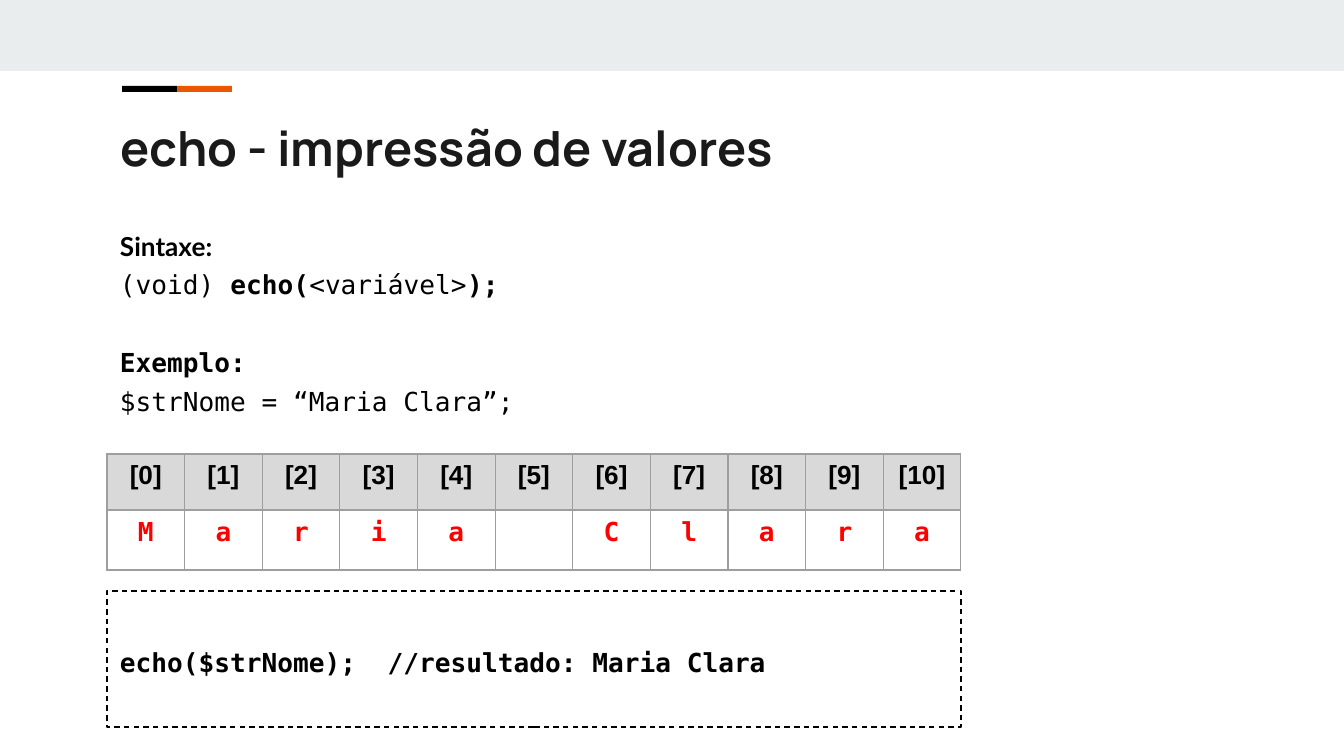
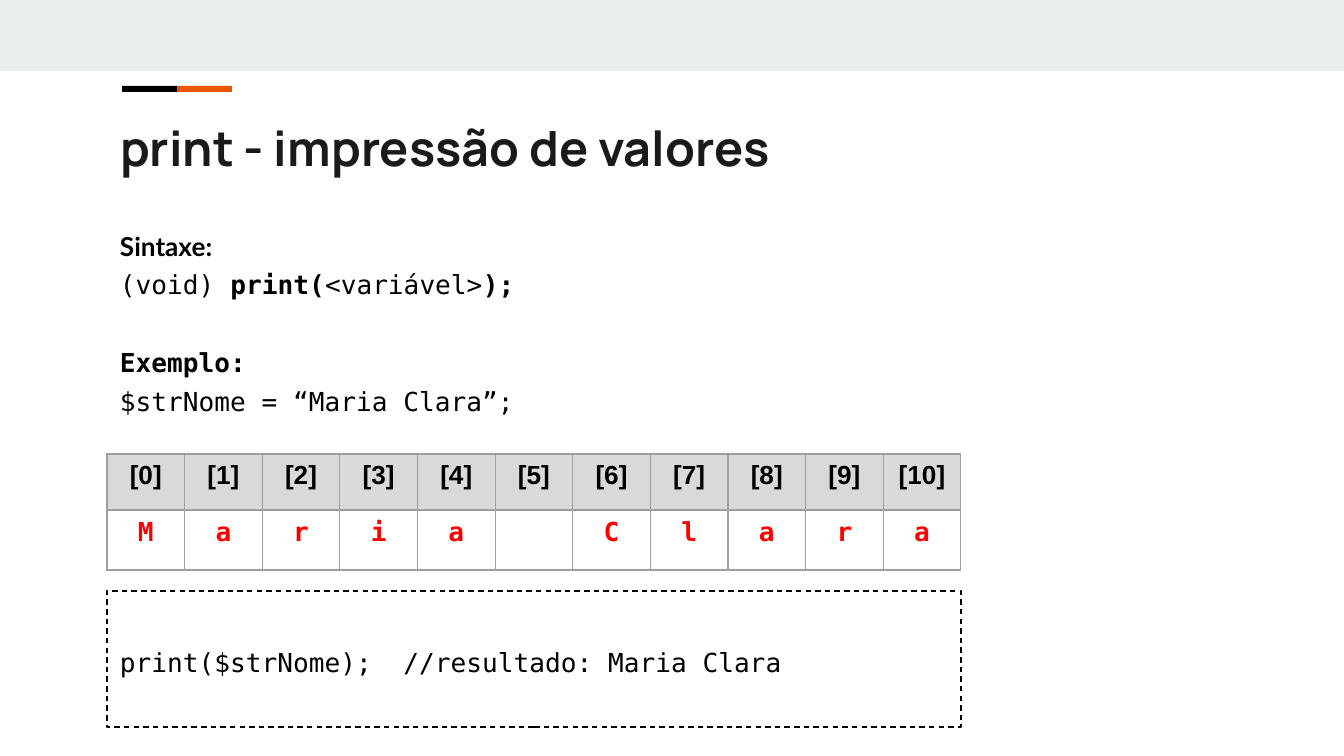
"""Build two slides on printing values with echo and print."""
from dataclasses import dataclass
from typing import Any

from lxml import etree
from pptx import Presentation
from pptx.dml.color import RGBColor
from pptx.enum.dml import MSO_LINE
from pptx.enum.shapes import MSO_SHAPE
from pptx.enum.text import MSO_ANCHOR, MSO_AUTO_SIZE, PP_ALIGN
from pptx.oxml.ns import qn
from pptx.util import Emu, Pt

RECTANGLE = MSO_SHAPE.RECTANGLE
DASH = MSO_LINE.DASH
TOP = MSO_ANCHOR.TOP
NO_AUTOFIT = MSO_AUTO_SIZE.NONE
LEFT = PP_ALIGN.LEFT
CENTER = PP_ALIGN.CENTER

BLACK = RGBColor(0x00, 0x00, 0x00)
INK = RGBColor(0x1A, 0x1A, 0x1A)
MIST = RGBColor(0xE9, 0xED, 0xEE)
ORANGE = RGBColor(0xEB, 0x56, 0x00)
HEADER_GREY = RGBColor(0xD9, 0xD9, 0xD9)
BORDER_GREY = RGBColor(0x9E, 0x9E, 0x9E)
RED = RGBColor(0xFF, 0x00, 0x00)

SLIDE_WIDTH, SLIDE_HEIGHT = 1344, 756
EMU_PER_PX = 9144000 / SLIDE_WIDTH
TITLE_ONLY = 5
INSET = 13
NAME = "Maria Clara"
ROW_HEIGHTS = (56, 60)


@dataclass(frozen=True)
class Area:
    left: int
    top: int
    width: int
    height: int

    def emu(self) -> tuple[Emu, ...]:
        return tuple(px(n) for n in (self.left, self.top, self.width, self.height))


@dataclass(frozen=True)
class Style:
    font: str
    size: int = 14
    bold: bool = False
    color: RGBColor = BLACK


@dataclass(frozen=True)
class Line:
    runs: tuple[tuple[str, Style], ...]
    format: dict[str, Any]


@dataclass(frozen=True)
class Band:
    area: Area
    color: RGBColor


@dataclass(frozen=True)
class Lesson:
    function: str
    result_style: Style


HEADING = Style("Manrope", 26, True, INK)
LABEL = Style("Lato", bold=True)
CODE = Style("DejaVu Sans Mono")
CODE_BOLD = Style("DejaVu Sans Mono", bold=True)
INDEX = Style("Arial", bold=True)
LETTER = Style("DejaVu Sans Mono", bold=True, color=RED)

BANDS = (
    Band(Area(0, 0, SLIDE_WIDTH, 71), MIST),
    Band(Area(177, 86, 55, 6), ORANGE),
    Band(Area(122, 86, 55, 6), BLACK),
)
TITLE_AREA = Area(107, 105, 1130, 79)
SYNTAX_AREA = Area(107, 217, 1130, 249)
LETTERS_AREA = Area(107, 454, 854, sum(ROW_HEIGHTS))
RESULT_AREA = Area(107, 591, 854, 136)
LESSONS = (Lesson("echo", CODE_BOLD), Lesson("print", CODE))


def px(length: int) -> Emu:
    return Emu(round(length * EMU_PER_PX))


def apply(target: Any, values: dict[str, Any]) -> None:
    for attribute, value in values.items():
        setattr(target, attribute, value)


def write(frame: Any, lines: tuple[Line, ...]) -> None:
    for number, line in enumerate(lines):
        paragraph = frame.add_paragraph() if number else frame.paragraphs[0]
        apply(paragraph, line.format)
        for text, style in line.runs:
            run = paragraph.add_run()
            run.text = text
            apply(run.font, {"name": style.font, "size": Pt(style.size), "bold": style.bold})
            run.font.color.rgb = style.color


def write_box(shape: Any, lines: tuple[Line, ...], top_inset: int = INSET) -> None:
    apply(shape.text_frame, {
        "word_wrap": True,
        "auto_size": NO_AUTOFIT,
        "vertical_anchor": TOP,
        "margin_left": px(INSET),
        "margin_right": px(INSET),
        "margin_top": px(top_inset),
        "margin_bottom": px(INSET),
    })
    write(shape.text_frame, lines)


def draw_band(slide: Any, band: Band) -> None:
    bar = slide.shapes.add_shape(RECTANGLE, *band.area.emu())
    bar.shadow.inherit = False
    bar.fill.solid()
    bar.fill.fore_color.rgb = band.color
    bar.line.fill.background()


def draw_title(slide: Any, text: str) -> None:
    title = slide.shapes.title
    apply(title, dict(zip(("left", "top", "width", "height"), TITLE_AREA.emu())))
    write_box(title, (Line(((text, HEADING),), {"alignment": LEFT}),))


def draw_syntax(slide: Any, function: str) -> None:
    call = (("(void) ", CODE), (f"{function}(", CODE_BOLD), ("<variável>", CODE), (");", CODE_BOLD))
    lines = (
        Line((("Sintaxe:", LABEL),), {}),
        Line(call, {"space_before": Pt(4)}),
        Line((("Exemplo:", CODE_BOLD),), {"space_before": Pt(25)}),
        Line(((f"$strNome = “{NAME}”;", CODE),), {"space_before": Pt(4), "space_after": Pt(4)}),
    )
    write_box(slide.shapes.add_textbox(*SYNTAX_AREA.emu()), lines)


def draw_borders(cell: Any) -> None:
    properties = cell._tc.get_or_add_tcPr()
    for side in ("a:lnL", "a:lnR", "a:lnT", "a:lnB"):
        border = etree.SubElement(properties, qn(side), w=str(Pt(0.75)))
        fill = etree.SubElement(border, qn("a:solidFill"))
        etree.SubElement(fill, qn("a:srgbClr"), val=str(BORDER_GREY))


def draw_letters(slide: Any) -> None:
    frame = slide.shapes.add_table(len(ROW_HEIGHTS), len(NAME), *LETTERS_AREA.emu())
    table = frame.table
    apply(table, {"first_row": False, "horz_banding": False})
    for row, height in zip(table.rows, ROW_HEIGHTS):
        row.height = px(height)
    for position, letter in enumerate(NAME):
        table.columns[position].width = px(LETTERS_AREA.width) // len(NAME)
        index_cell, letter_cell = table.cell(0, position), table.cell(1, position)
        for cell, text, style in ((index_cell, f"[{position}]", INDEX), (letter_cell, letter.strip(), LETTER)):
            draw_borders(cell)
            apply(cell, {"margin_left": px(INSET), "margin_right": px(INSET),
                         "margin_top": px(7), "margin_bottom": px(7)})
            if text:
                write(cell.text_frame, (Line(((text, style),), {"alignment": CENTER}),))
        index_cell.fill.solid()
        index_cell.fill.fore_color.rgb = HEADER_GREY
        letter_cell.fill.background()


def draw_result(slide: Any, lesson: Lesson) -> None:
    result = slide.shapes.add_shape(RECTANGLE, *RESULT_AREA.emu())
    result.shadow.inherit = False
    result.fill.background()
    result.line.color.rgb = BLACK
    apply(result.line, {"width": Pt(0.75), "dash_style": DASH})
    statement = f"{lesson.function}($strNome);  //resultado: {NAME}"
    write_box(result, (Line(((statement, lesson.result_style),), {"alignment": LEFT}),), 55)


def build_lesson(deck: Any, lesson: Lesson) -> None:
    slide = deck.slides.add_slide(deck.slide_layouts[TITLE_ONLY])
    for band in BANDS:
        draw_band(slide, band)
    draw_title(slide, f"{lesson.function} - impressão de valores")
    draw_syntax(slide, lesson.function)
    draw_letters(slide)
    draw_result(slide, lesson)


def main() -> None:
    deck = Presentation()
    apply(deck, {"slide_width": px(SLIDE_WIDTH), "slide_height": px(SLIDE_HEIGHT)})
    for lesson in LESSONS:
        build_lesson(deck, lesson)
    deck.save("out.pptx")


if __name__ == "__main__":
    main()
